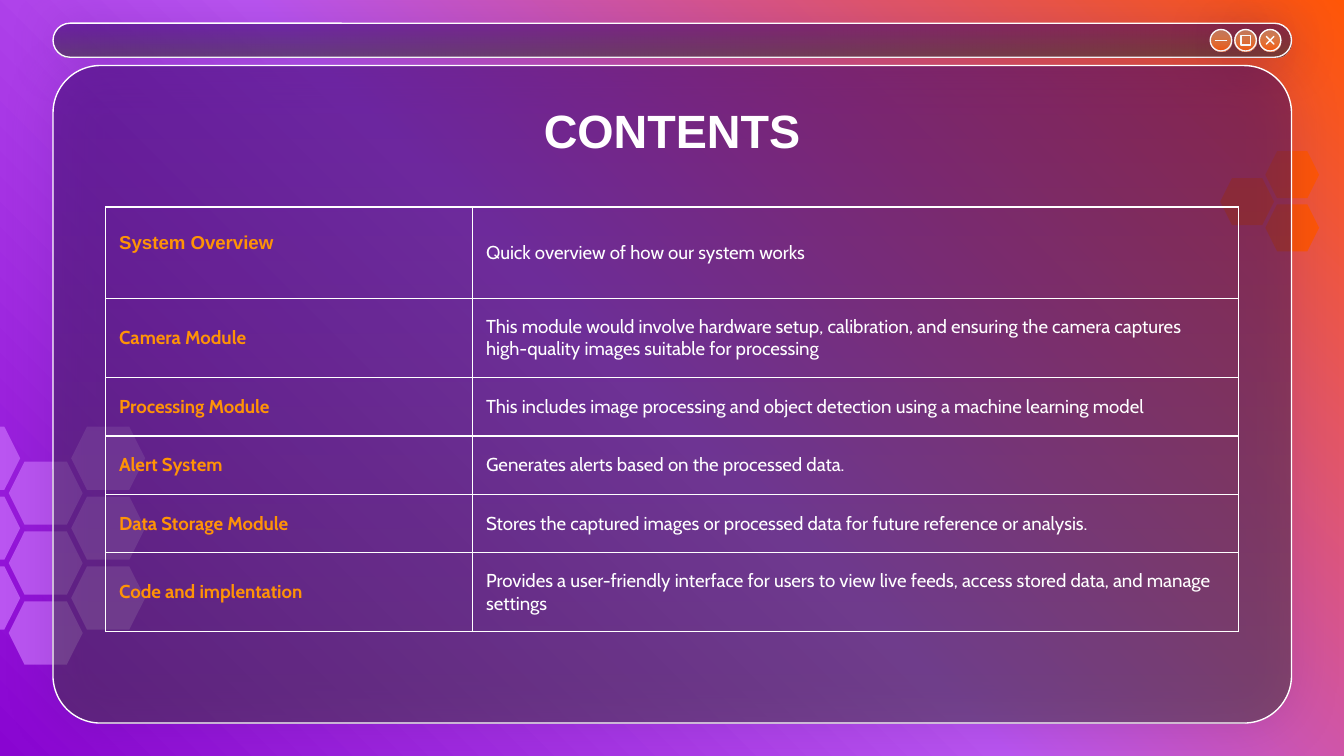
"""Build a contents slide styled as a glassy window over a gradient."""
from dataclasses import dataclass

from lxml import etree
from pptx import Presentation
from pptx.dml.color import RGBColor
from pptx.enum.shapes import MSO_SHAPE
from pptx.enum.text import MSO_ANCHOR, PP_ALIGN
from pptx.oxml import parse_xml
from pptx.oxml.ns import nsdecls, qn
from pptx.util import Inches, Pt

HEX, ROUND, OVAL = MSO_SHAPE.HEXAGON, MSO_SHAPE.ROUNDED_RECTANGLE, MSO_SHAPE.OVAL
RECT, CROSS, MINUS = MSO_SHAPE.RECTANGLE, MSO_SHAPE.MATH_MULTIPLY, MSO_SHAPE.MATH_MINUS
MIDDLE, CENTER, LEFT = MSO_ANCHOR.MIDDLE, PP_ALIGN.CENTER, PP_ALIGN.LEFT


@dataclass(frozen=True)
class Theme:
    """Colours, fonts and type sizes."""
    white: str = "FFFFFF"
    gold: str = "FF9306"
    orange: str = "FF5607"
    violet: str = "BA55F1"
    purple: str = "8905D1"
    night: str = "340267"
    ash: str = "3A3737"
    peach: str = "FFC375"
    head: str = "Arial"
    body: str = "Cabin"
    big: float = 25
    small: float = 10
    rule: float = 0.75


T = Theme()
WIDE, HIGH = Inches(10), Inches(5.625)
DOWN = '<a:lin ang="5400000" scaled="0"/>'
CORNER = '<a:path path="circle"><a:fillToRect l="100000" b="100000"/></a:path><a:tileRect/>'
COLS = (27.3, 57)
ROWS = (
    (6.8, "System Overview", "Quick overview of how our system works"),
    (5.9, "Camera Module", "This module would involve hardware setup, calibration, and ensuring "
     "the camera captures high-quality images suitable for processing"),
    (4.35, "Processing Module", "This includes image processing and object detection using a "
     "machine learning model"),
    (4.35, "Alert System", "Generates alerts based on the processed data."),
    (4.35, "Data Storage Module", "Stores the captured images or processed data for future "
     "reference or analysis."),
    (5.85, "Code and implentation", "Provides a user-friendly interface for users to view live "
     "feeds, access stored data, and manage settings"),
)


def unit(n):
    """Turn hundredths of the slide width into a length."""
    return round(WIDE * n / 100)


def tint(color, alpha=100):
    """Return colour markup with an opacity in percent."""
    return f'<a:srgbClr val="{color}"><a:alpha val="{alpha * 1000}"/></a:srgbClr>'


def blend(fill, owner, stops, way):
    """Fill the owner element with a gradient."""
    fill.solid()
    marks = "".join(f'<a:gs pos="{at * 1000}">{tint(color, alpha)}</a:gs>'
                    for at, color, alpha in stops)
    new = parse_xml(f'<a:gradFill {nsdecls("a")} rotWithShape="1">'
                    f'<a:gsLst>{marks}</a:gsLst>{way}</a:gradFill>')
    owner.replace(owner.find(qn("a:solidFill")), new)


def form(slide, kind, box, fill=None, line=None, adj=None):
    """Add a plain preset shape."""
    shape = slide.shapes.add_shape(kind, *map(unit, box))
    shape.shadow.inherit = False
    if adj is not None:
        shape.adjustments[0] = adj
    if fill:
        shape.fill.solid()
        shape.fill.fore_color.rgb = RGBColor.from_string(fill)
    else:
        shape.fill.background()
    if line:
        shape.line.color.rgb = RGBColor.from_string(line)
        shape.line.width = Pt(T.rule)
    else:
        shape.line.fill.background()
    return shape


def glass(slide, kind, box, stops, adj=None):
    """Add an outlined shape with a gradient and a soft shadow."""
    shape = form(slide, kind, box, line=T.white, adj=adj)
    props = shape._element.spPr
    blend(shape.fill, props, stops, DOWN)
    props.find(qn("a:effectLst")).append(parse_xml(
        f'<a:outerShdw {nsdecls("a")} blurRad="{Pt(27)}" dist="{Pt(1.5)}" dir="5400000" '
        f'algn="bl" rotWithShape="0">{tint(T.night, 30)}</a:outerShdw>'))


def write(frame, text, font=T.body, size=T.small, color=T.white, bold=False, align=LEFT):
    """Put one formatted paragraph in a text frame."""
    frame.word_wrap = True
    para = frame.paragraphs[0]
    para.alignment = align
    run = para.add_run()
    run.text = text
    run.font.name, run.font.size, run.font.bold = font, Pt(size), bold
    run.font.color.rgb = RGBColor.from_string(color)


def frame(cell):
    """Clear the cell fill, pad it and rule all four sides."""
    cell.fill.background()
    cell.vertical_anchor = MIDDLE
    cell.margin_left = cell.margin_right = cell.margin_top = cell.margin_bottom = unit(1)
    props = cell._tc.get_or_add_tcPr()
    for i, side in enumerate("LRTB"):
        edge = etree.Element(qn(f"a:ln{side}"), w=str(Pt(T.rule)))
        paint = etree.SubElement(edge, qn("a:solidFill"))
        etree.SubElement(paint, qn("a:srgbClr"), val=T.white)
        props.insert(i, edge)


def combs(slide):
    """Add the hexagon clusters on both sides."""
    for col in range(3):
        for row in range(3):
            top = 31.75 + 5.2 * row + 2.6 * (col % 2)
            form(slide, HEX, (-4 + 4.65 * col, top, 5.5, 4.7), T.violet)
    for left, top in ((94.15, 15.2), (94.15, 11.25), (90.8, 13.25)):
        form(slide, HEX, (left, top, 4, 3.5), T.orange)


def window(slide):
    """Add the title bar, its three buttons and the panel."""
    glass(slide, ROUND, (3.95, 1.73, 92.15, 2.53),
          ((0, T.night, 51), (100, T.ash, 60)), 0.5)
    icons = ((MINUS, 1.1, T.white, 0), (RECT, 0.7, None, None), (CROSS, 1.1, T.white, 0))
    for i, (kind, size, fill, adj) in enumerate(icons):
        mid = 90.85 + 1.83 * i
        glass(slide, OVAL, (mid - 0.8, 2.2, 1.6, 1.6),
              ((0, T.peach, 51), (100, T.orange, 100)))
        form(slide, kind, (mid - size / 2, 3 - size / 2, size, size), fill, T.white, adj)
    glass(slide, ROUND, (3.95, 4.88, 92.15, 48.92),
          ((0, T.night, 49), (100, T.ash, 49)), 0.072)


def title(slide, text):
    """Add the centred heading."""
    box = slide.shapes.add_textbox(*map(unit, (7.7, 6.5, 84.6, 6.3)))
    box.text_frame.vertical_anchor = MIDDLE
    write(box.text_frame, text, font=T.head, size=T.big, bold=True, align=CENTER)


def topics(slide):
    """Add the table of topics."""
    size = (sum(COLS), sum(row[0] for row in ROWS))
    table = slide.shapes.add_table(len(ROWS), len(COLS), *map(unit, (7.87, 15.4, *size))).table
    table.first_row = table.horz_banding = False
    for col, wide in zip(table.columns, COLS):
        col.width = unit(wide)
    for i, (high, name, note) in enumerate(ROWS):
        table.rows[i].height = unit(high)
        left, right = table.cell(i, 0), table.cell(i, 1)
        frame(left)
        frame(right)
        write(left.text_frame, name, font=T.body if i else T.head, color=T.gold, bold=True)
        write(right.text_frame, note)
    table.cell(0, 0).margin_bottom = unit(2.5)


def main():
    """Build and save the slide."""
    deck = Presentation()
    deck.slide_width, deck.slide_height = WIDE, HIGH
    slide = deck.slides.add_slide(deck.slide_layouts[6])
    back = slide.background.fill
    back.solid()
    blend(back, slide._element.find(".//" + qn("p:bgPr")),
          ((0, T.orange, 100), (52, T.violet, 100), (100, T.purple, 100)), CORNER)
    combs(slide)
    window(slide)
    title(slide, "CONTENTS")
    topics(slide)
    deck.save("out.pptx")


if __name__ == "__main__":
    main()
